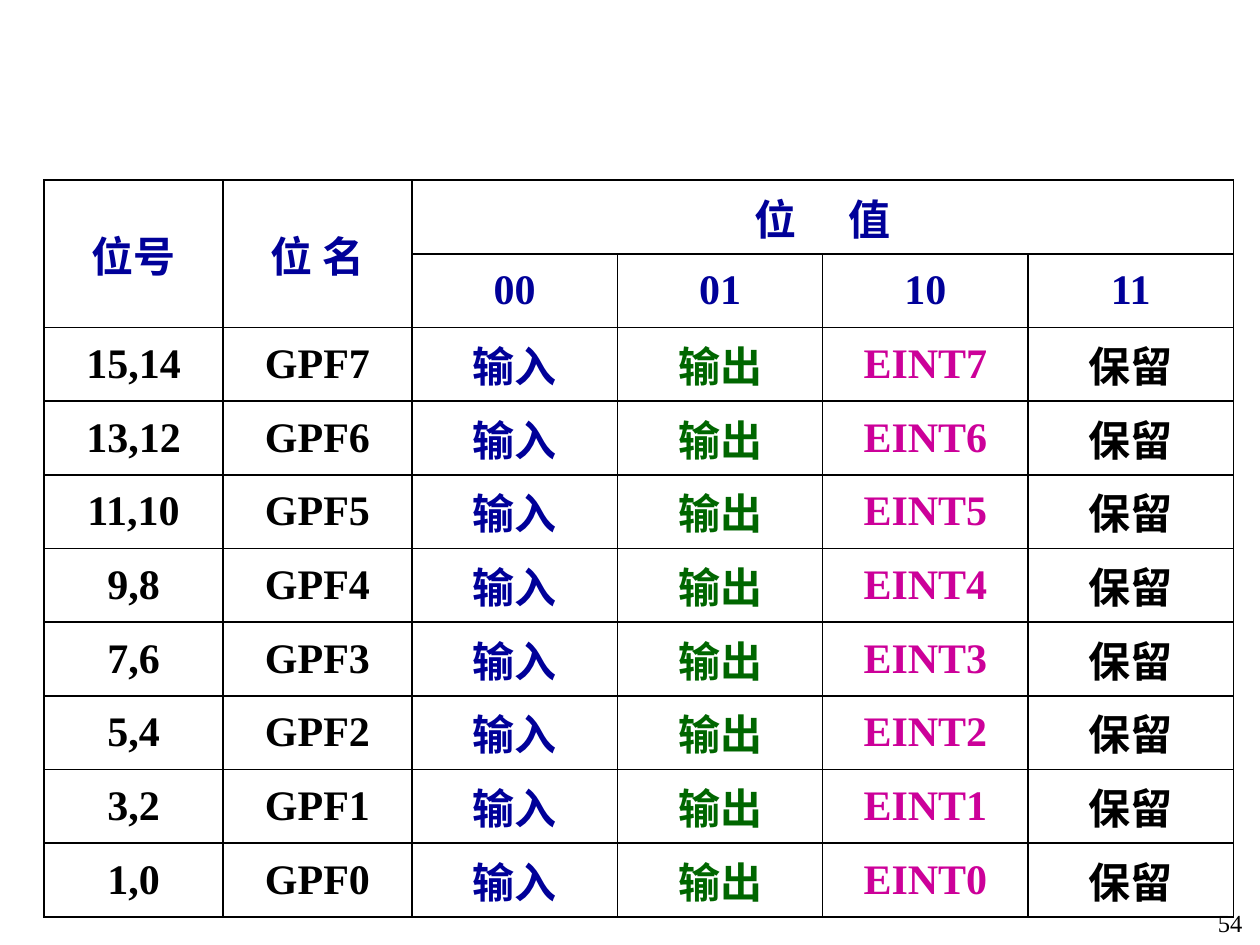
from lxml.etree import SubElement
from pptx import Presentation
from pptx.dml.color import RGBColor
from pptx.enum.text import MSO_ANCHOR, PP_ALIGN
from pptx.oxml.ns import qn
from pptx.util import Inches, Pt

FONT = "Times New Roman"
BLACK = RGBColor(0x00, 0x00, 0x00)
NUMBER_BLACK = RGBColor(0x01, 0x00, 0x00)
NAVY = RGBColor(0x00, 0x00, 0x99)
GREEN = RGBColor(0x00, 0x66, 0x00)
MAGENTA = RGBColor(0xCC, 0x00, 0x99)

COLUMN_WIDTHS = [1.42, 1.5] + [1.63] * 4
COLUMN_COLORS = [BLACK, BLACK, NAVY, GREEN, MAGENTA, BLACK]
HEADER_ROWS = 2
PIN_COUNT = 8
HANGING_INDENT = Inches(0.38)


def format_runs(paragraph, size, color, bold=False):
    for run in paragraph.runs:
        run.font.name = FONT
        run.font.size = Pt(size)
        run.font.bold = bold
        run.font.color.rgb = color


def set_borders(cell):
    properties = cell._tc.get_or_add_tcPr()
    for side in ("a:lnL", "a:lnR", "a:lnT", "a:lnB"):
        line = SubElement(properties, qn(side), w=str(Pt(1)))
        fill = SubElement(line, qn("a:solidFill"))
        SubElement(fill, qn("a:srgbClr"), val=str(BLACK))


def format_cell(cell):
    cell.vertical_anchor = MSO_ANCHOR.MIDDLE
    cell.margin_left = cell.margin_right = 0
    cell.margin_top = cell.margin_bottom = Inches(0.05)
    set_borders(cell)
    cell.fill.background()


def write_cell(cell, text, color):
    paragraph = cell.text_frame.paragraphs[0]
    paragraph.text = text
    paragraph.alignment = PP_ALIGN.CENTER
    properties = paragraph._p.get_or_add_pPr()
    properties.set("marL", str(HANGING_INDENT))
    properties.set("indent", str(-HANGING_INDENT))
    format_runs(paragraph, 24, color, bold=True)
    return paragraph


def write_header(table):
    # Bit number and bit name span both header rows
    for column, label in enumerate(["位号", "位 名"]):
        table.cell(0, column).merge(table.cell(1, column))
        write_cell(table.cell(0, column), label, NAVY)

    # Bit value spans its four codes, with its two characters spaced apart
    table.cell(0, 2).merge(table.cell(0, 5))
    paragraph = write_cell(table.cell(0, 2), "位 ", NAVY)
    paragraph.runs[0].font._element.set("spc", "1200")
    paragraph.add_run().text = "值"
    format_runs(paragraph, 24, NAVY, bold=True)

    for code in range(4):
        write_cell(table.cell(1, 2 + code), f"{code:02b}", NAVY)


def add_register_table(slide, left, top, width, height):
    row_count = HEADER_ROWS + PIN_COUNT
    frame = slide.shapes.add_table(
        row_count, len(COLUMN_WIDTHS), left, top, width, height)
    table = frame.table
    table.first_row = table.horz_banding = False
    for column, column_width in zip(table.columns, COLUMN_WIDTHS):
        column.width = Inches(column_width)
    for row in table.rows:
        row.height = height // row_count
    for cell in table.iter_cells():
        format_cell(cell)

    write_header(table)

    # One row for each pin, from the highest down
    for row_index, pin in enumerate(reversed(range(PIN_COUNT)), HEADER_ROWS):
        values = [f"{2 * pin + 1},{2 * pin}", f"GPF{pin}",
                  "输入", "输出", f"EINT{pin}", "保留"]
        for column, (value, color) in enumerate(zip(values, COLUMN_COLORS)):
            write_cell(table.cell(row_index, column), value, color)


def add_page_number(slide, left, top, width, height):
    text_frame = slide.shapes.add_textbox(left, top, width, height).text_frame
    text_frame.word_wrap = True
    paragraph = text_frame.paragraphs[0]
    paragraph.text = "54"
    paragraph.alignment = PP_ALIGN.RIGHT
    format_runs(paragraph, 14, NUMBER_BLACK)


def main():
    presentation = Presentation()
    presentation.slide_width = Inches(10)
    presentation.slide_height = Inches(7.5)
    slide = presentation.slides.add_slide(presentation.slide_layouts[6])
    add_page_number(slide, Inches(9.2), Inches(7.16), Inches(0.76), Inches(0.34))
    add_register_table(slide, Inches(0.35), Inches(1.43),
                       Inches(sum(COLUMN_WIDTHS)), Inches(5.85))
    presentation.save("out.pptx")


if __name__ == "__main__":
    main()
